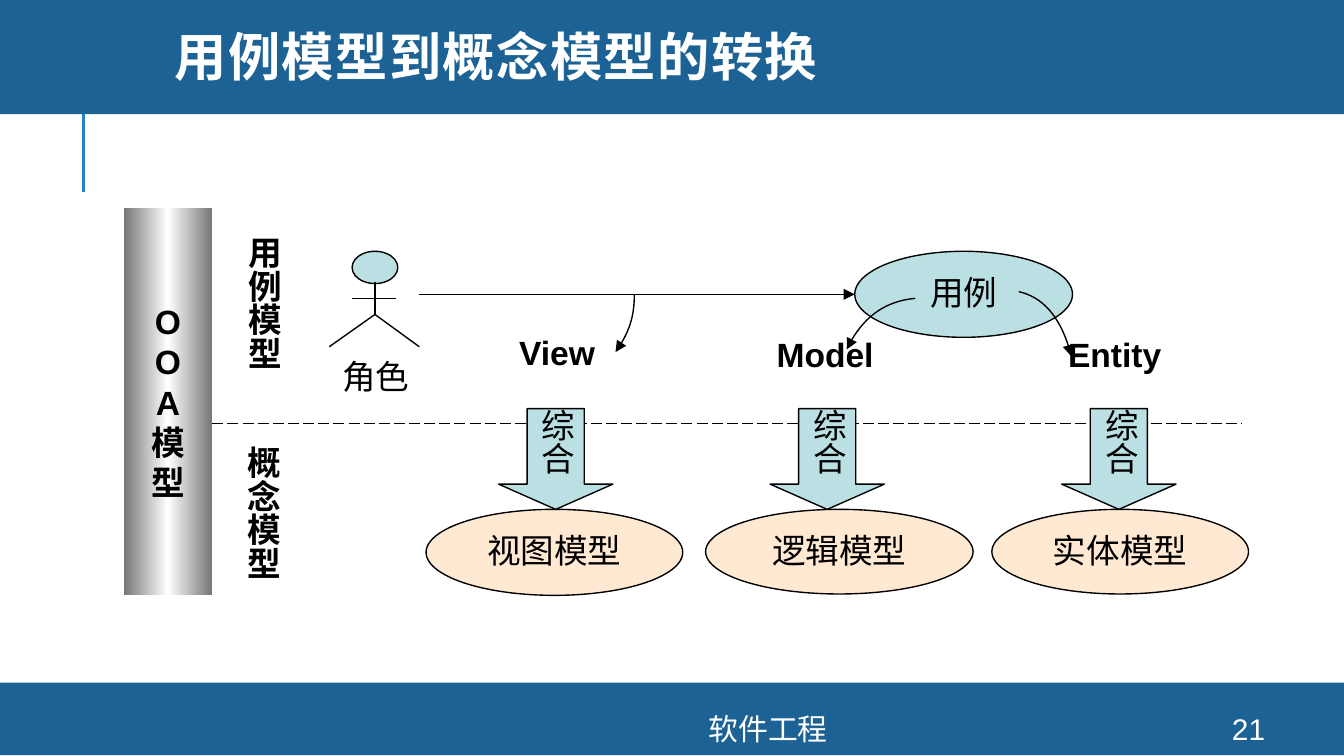
from dataclasses import dataclass

import pptx
import pptx.dml.color
import pptx.enum.dml
import pptx.enum.shapes
import pptx.enum.text
import pptx.oxml.ns
import pptx.util
from pptx.util import Inches

SHAPES = pptx.enum.shapes.MSO_SHAPE
ALIGN = pptx.enum.text.PP_ALIGN
qn = pptx.oxml.ns.qn

BLUE, ACCENT, TEAL, PEACH = "1D6294", "2683C6", "BBE0E3", "FFCC99"
GREY, WHITE, BLACK = "767676", "FFFFFF", "000000"

Box = tuple[float, float, float, float]
Point = tuple[float, float]
DEFAULT_INSETS: Box = (0.1, 0.05, 0.1, 0.05)
LABEL_INSETS: Box = (0.1, 0, 0.1, 0.05)
NARROW_INSETS: Box = (0.06, 0, 0.04, 0.05)
SIDE_INSETS: Box = (0.02, 0.05, 0.1, 0.05)


@dataclass
class Column:
    """One path from a use-case part down to its concept model."""
    label: str
    label_box: Box
    label_insets: Box
    label_spacing: float
    arrow_left: float
    model: str
    model_box: Box


@dataclass
class Curve:
    start: Point
    first_control: Point
    second_control: Point
    end: Point


COLUMNS = [
    Column("View", (3.74, 2.51, 0.81, 0.32), LABEL_INSETS, 0.8,
           3.71, "视图模型", (3.17, 3.79, 1.91, 0.64)),
    Column("Model", (5.71, 2.51, 0.84, 0.32), NARROW_INSETS, 0.96,
           5.73, "逻辑模型", (5.25, 3.79, 1.99, 0.63)),
    Column("Entity", (7.83, 2.51, 0.93, 0.32), LABEL_INSETS, 0.96,
           7.9, "实体模型", (7.38, 3.79, 1.91, 0.63)),
]
CURVES = [
    Curve((4.72, 2.19), (4.72, 2.35), (4.67, 2.5), (4.58, 2.62)),
    Curve((6.81, 2.22), (6.59, 2.24), (6.4, 2.38), (6.3, 2.6)),
    Curve((7.58, 2.17), (7.76, 2.21), (7.91, 2.39), (7.97, 2.65)),
]
ACTOR_LIMBS = [
    ((2.62, 2.22), (2.95, 2.22)),
    ((2.79, 2.1), (2.79, 2.34)),
    ((2.79, 2.34), (2.45, 2.58)),
    ((2.79, 2.34), (3.12, 2.58)),
]


def color(value: str):
    return pptx.dml.color.RGBColor.from_string(value)


def add_element(parent, tag: str, **attributes: str):
    element = parent.makeelement(qn(tag), attributes)
    parent.append(element)
    return element


def write(shape, text: str, *, size: float = 18, color_hex: str = BLACK, bold: bool = False,
          align=ALIGN.CENTER, font: str = "Arial", line_spacing: float = 1.0,
          insets: Box = DEFAULT_INSETS, wrap: bool = True, vertical: bool = False,
          tracking: float = 0) -> None:
    """Fill a shape with text, one paragraph for each line."""
    frame = shape.text_frame
    frame.text = text
    frame.word_wrap = wrap
    frame.vertical_anchor = pptx.enum.text.MSO_ANCHOR.MIDDLE
    (frame.margin_left, frame.margin_top,
     frame.margin_right, frame.margin_bottom) = map(Inches, insets)
    if vertical:
        shape._element.txBody.find(qn("a:bodyPr")).set("vert", "eaVert")
    for paragraph in frame.paragraphs:
        paragraph.alignment = align
        paragraph.line_spacing = line_spacing
        for run in paragraph.runs:
            run.font.size = pptx.util.Pt(size)
            run.font.bold = bold
            run.font.name = font
            run.font.color.rgb = color(color_hex)
            properties = run._r.find(qn("a:rPr"))
            add_element(properties, "a:ea", typeface=font)
            if tracking:
                properties.set("spc", str(round(tracking * 100)))


def add_text(slide, box: Box, text: str, **text_format) -> None:
    write(slide.shapes.add_textbox(*map(Inches, box)), text, **text_format)


def add_shape(slide, kind, box: Box, fill: str, outlined: bool = True, opacity: int = 100):
    shape = slide.shapes.add_shape(kind, *map(Inches, box))
    shape.shadow.inherit = False
    shape.fill.solid()
    shape.fill.fore_color.rgb = color(fill)
    if opacity < 100:
        fill_color = shape._element.spPr.find(qn("a:solidFill")).find(qn("a:srgbClr"))
        add_element(fill_color, "a:alpha", val=str(opacity * 1000))
    if outlined:
        style_line(shape)
    else:
        shape.line.fill.background()
    return shape


def style_line(shape, color_hex: str = BLACK, width: float = 0.75, arrow: bool = False) -> None:
    shape.line.color.rgb = color(color_hex)
    shape.line.width = pptx.util.Pt(width)
    if arrow:
        add_element(shape._element.spPr.find(qn("a:ln")), "a:tailEnd", type="triangle")


def add_line(slide, start: Point, end: Point, **line_format):
    connector = slide.shapes.add_connector(
        pptx.enum.shapes.MSO_CONNECTOR.STRAIGHT, *map(Inches, start + end))
    style_line(connector, **line_format)
    add_element(connector._element.spPr, "a:effectLst")
    return connector


def add_curve(slide, curve: Curve) -> None:
    """Draw an open Bezier curve that ends in an arrowhead."""
    points = [curve.first_control, curve.second_control, curve.end]
    builder = slide.shapes.build_freeform(*map(Inches, curve.start))
    builder.add_line_segments([tuple(map(Inches, point)) for point in points], close=False)
    shape = builder.convert_to_shape()
    shape.shadow.inherit = False
    shape.fill.background()
    style_line(shape, arrow=True)
    outline = next(shape._element.iter(qn("a:path")))
    segments = outline.findall(qn("a:lnTo"))
    bezier = add_element(outline, "a:cubicBezTo")
    for segment in segments:
        bezier.append(segment.find(qn("a:pt")))
        outline.remove(segment)


def add_gradient_bar(slide, box: Box, text: str) -> None:
    bar = add_shape(slide, SHAPES.RECTANGLE, box, GREY, outlined=False)
    bar.fill.gradient()
    bar.fill.gradient_angle = 0
    stops = bar._element.spPr.find(qn("a:gradFill")).find(qn("a:gsLst"))
    for stop in list(stops):
        stops.remove(stop)
    for position, value in ((0, GREY), (50, WHITE), (100, GREY)):
        stop = add_element(stops, "a:gs", pos=str(position * 1000))
        add_element(stop, "a:srgbClr", val=value)
    write(bar, text, bold=True)


def add_frame(slide) -> None:
    """Draw the title band, footer band and their text."""
    add_line(slide, (0.62, 1.43), (0.62, 0.68), color_hex=ACCENT, width=1.5)
    add_shape(slide, SHAPES.RECTANGLE, (0, 5.08, 10, 0.54), BLUE, outlined=False)
    add_shape(slide, SHAPES.RECTANGLE, (0, -0.03, 10, 0.88), BLUE, outlined=False)
    add_text(slide, (1.2, 0, 8.49, 0.91), "用例模型到概念模型的转换", size=28, color_hex=WHITE,
             bold=True, align=ALIGN.LEFT, font="Montserrat", line_spacing=0.8, tracking=0.8)
    add_text(slide, (2.61, 5.31, 6.21, 0.23), "软件工程", size=16, color_hex=WHITE)
    add_text(slide, (8.89, 5.31, 0.8, 0.23), "21", size=16, color_hex=WHITE)


def add_diagram(slide) -> None:
    add_shape(slide, SHAPES.OVAL, (2.62, 1.87, 0.34, 0.24), TEAL)
    for start, end in ACTOR_LIMBS:
        add_line(slide, start, end)
    use_case = add_shape(slide, SHAPES.OVAL, (6.36, 1.87, 1.62, 0.64), TEAL)
    write(use_case, "用例", line_spacing=0.96)
    add_line(slide, (3.12, 2.19), (6.36, 2.19), arrow=True)
    add_text(slide, (2.32, 2.48, 0.95, 0.63), "角色")

    divider = add_line(slide, (1.58, 3.15), (9.24, 3.15))
    divider.line.dash_style = pptx.enum.dml.MSO_LINE.LONG_DASH
    for box, text in (((1.7, 1.66, 0.54, 1.6), "用例模型"), ((1.69, 3.22, 0.54, 1.28), "概念模型")):
        add_text(slide, box, text, bold=True, line_spacing=0.96, insets=SIDE_INSETS, vertical=True)
    add_gradient_bar(slide, (0.92, 1.55, 0.66, 2.88), "O\nO\nA\n模型")

    for column in COLUMNS:
        add_text(slide, column.label_box, column.label, bold=True, insets=column.label_insets,
                 line_spacing=column.label_spacing, wrap=False)
        model = add_shape(slide, SHAPES.OVAL, column.model_box, PEACH, opacity=43)
        write(model, column.model, line_spacing=0.96)
        arrow = add_shape(slide, SHAPES.DOWN_ARROW, (column.arrow_left, 3.04, 0.85, 0.75), TEAL)
        arrow.adjustments[0], arrow.adjustments[1] = 0.5, 0.25
        write(arrow, "综合", line_spacing=0.96, insets=LABEL_INSETS, vertical=True)
    for curve in CURVES:
        add_curve(slide, curve)


def main() -> None:
    presentation = pptx.Presentation()
    presentation.slide_width = Inches(10)
    presentation.slide_height = Inches(10) * 9 // 16
    slide = presentation.slides.add_slide(presentation.slide_layouts[6])
    add_frame(slide)
    add_diagram(slide)
    presentation.save("out.pptx")


if __name__ == "__main__":
    main()
